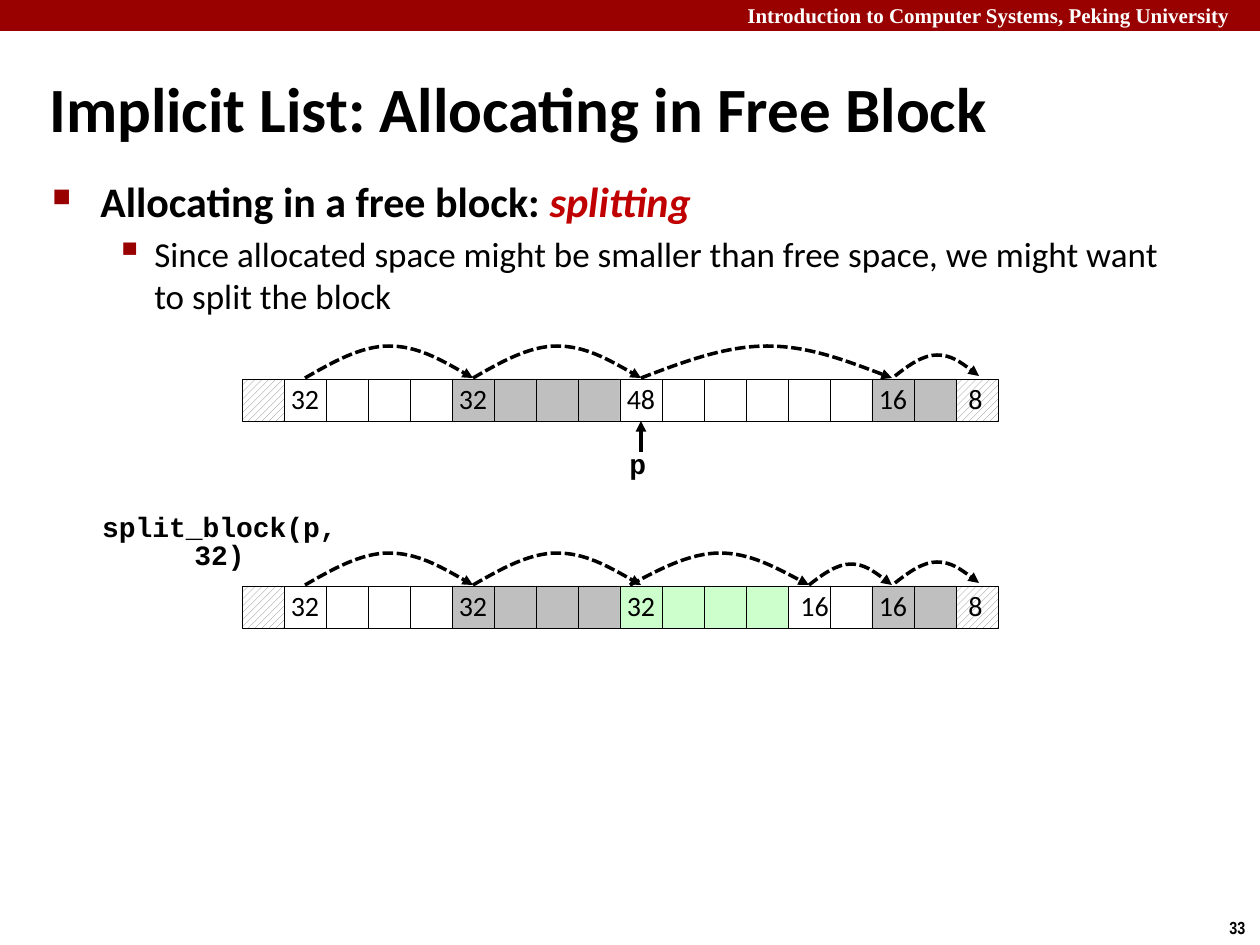
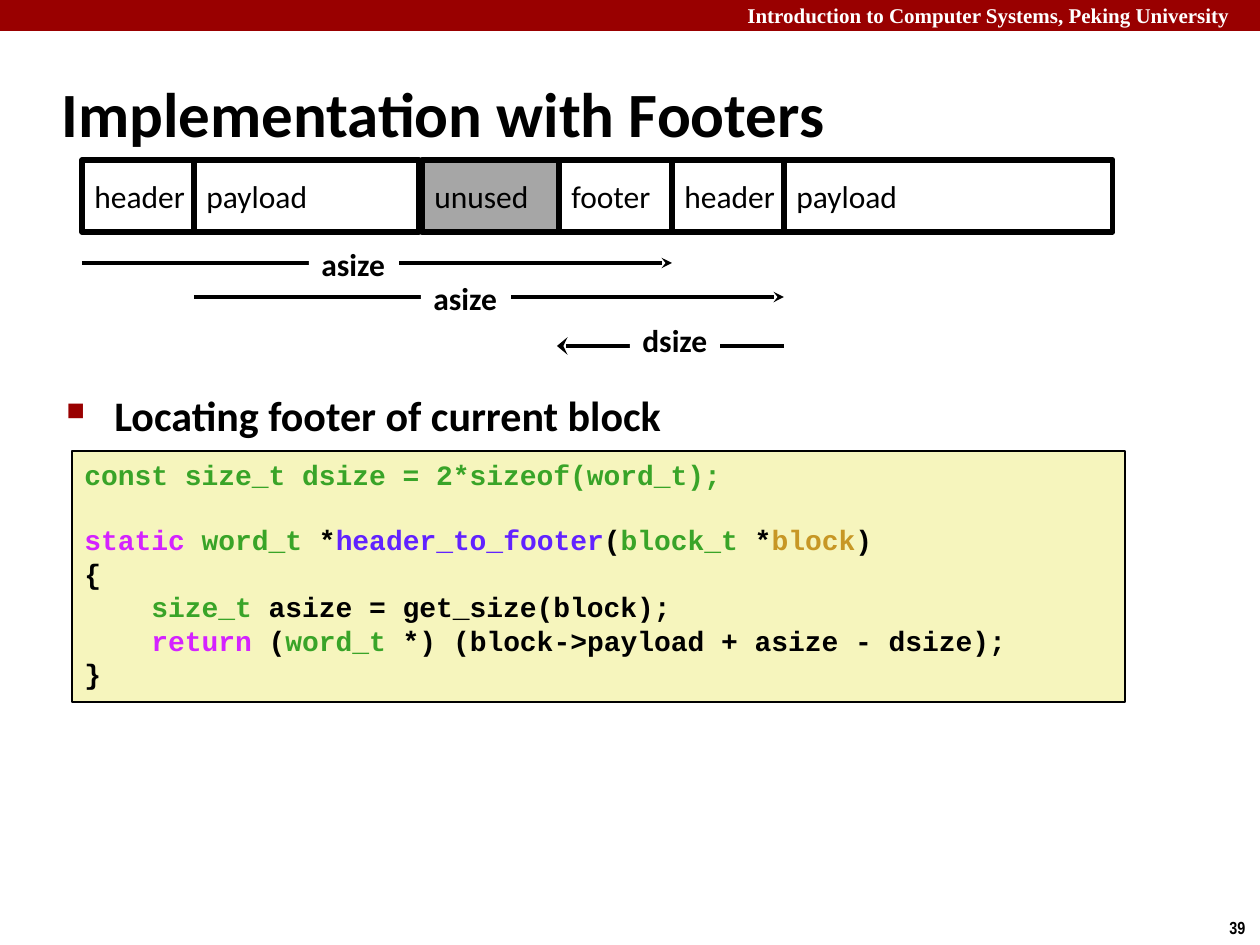
from dataclasses import dataclass

from lxml import etree
from pptx import Presentation
from pptx.dml.color import RGBColor
from pptx.enum.dml import MSO_LINE, MSO_PATTERN
from pptx.enum.shapes import MSO_CONNECTOR, MSO_SHAPE
from pptx.enum.text import MSO_ANCHOR, PP_ALIGN
from pptx.oxml.ns import qn
from pptx.util import Pt

RECTANGLE = MSO_SHAPE.RECTANGLE
STRAIGHT = MSO_CONNECTOR.STRAIGHT
DASHED = MSO_LINE.SQUARE_DOT
HATCHED = MSO_PATTERN.WIDE_UPWARD_DIAGONAL
TOP, MIDDLE = MSO_ANCHOR.TOP, MSO_ANCHOR.MIDDLE
LEFT, CENTER = PP_ALIGN.LEFT, PP_ALIGN.CENTER
PX = 914400 / 126


@dataclass(frozen=True)
class Theme:
    black: str = "000000"
    white: str = "FFFFFF"
    crimson: str = "990000"
    emphasis: str = "C00000"
    allocated: str = "BFBFBF"
    chosen: str = "CCFFCC"
    unused: str = "A6A6A6"
    hatch: str = "808080"
    code_back: str = "F6F5BD"
    code_type: str = "39A428"
    code_keyword: str = "D422FF"
    code_function: str = "6122FF"
    code_name: str = "C79725"
    body_font: str = "Calibri"
    code_font: str = "Courier New"
    band_font: str = "Times New Roman"
    number_font: str = "Arial Narrow"
    title_size: int = 36
    bullet_size: int = 24
    detail_size: int = 20
    label_size: int = 18
    code_size: int = 16
    band_size: int = 12
    number_size: int = 10


theme = Theme()


def add_box(page, left, top, width, height, fill=None, line=None, anchor=TOP, wrap=True):
    """Add a rectangle, or a plain text box when it has neither fill nor line."""
    place = [round(length * PX) for length in (left, top, width, height)]
    if fill is None and line is None:
        box = page.shapes.add_textbox(*place)
    else:
        box = page.shapes.add_shape(RECTANGLE, *place)
        box.shadow.inherit = False
        if fill == theme.hatch:
            box.fill.patterned()
            box.fill.pattern = HATCHED
            box.fill.fore_color.rgb = RGBColor.from_string(fill)
            box.fill.back_color.rgb = RGBColor.from_string(theme.white)
        elif fill:
            box.fill.solid()
            box.fill.fore_color.rgb = RGBColor.from_string(fill)
        else:
            box.fill.background()
        if line:
            box.line.width = Pt(line)
            box.line.color.rgb = RGBColor.from_string(theme.black)
        else:
            box.line.fill.background()
    box.text_frame.word_wrap = wrap
    box.text_frame.vertical_anchor = anchor
    return box


def add_text(box, spans, size, font=theme.body_font, bold=False, align=LEFT,
             bullet=None, indent=0, hanging=0, before=0, spacing=None):
    """Add one paragraph of (text, colour) spans; emphasised spans are italic."""
    frame = box.text_frame
    para = frame.paragraphs[0]
    if para.runs:
        para = frame.add_paragraph()
    para.alignment = align
    para.space_before = Pt(before)
    if spacing:
        para.line_spacing = spacing
    properties = para._p.get_or_add_pPr()
    properties.set("marL", str(round(indent * PX)))
    properties.set("indent", str(round(-hanging * PX)))
    if bullet:
        mark, percent = bullet
        colour = etree.SubElement(properties, qn("a:buClr"))
        etree.SubElement(colour, qn("a:srgbClr"), val=theme.crimson)
        etree.SubElement(properties, qn("a:buSzPct"), val=str(percent * 1000))
        etree.SubElement(properties, qn("a:buChar"), char=mark)
    for text, colour in spans:
        span = para.add_run()
        span.text = text
        span.font.name = font
        span.font.size = Pt(size)
        span.font.bold = bold
        span.font.italic = colour == theme.emphasis
        span.font.color.rgb = RGBColor.from_string(colour)


deck = Presentation()
deck.slide_width, deck.slide_height = round(1260 * PX), round(945 * PX)
arrows = []  # (line, head type, head width), styled together at the end

# Shared frame: band, title and page number
pages = []
for number, title, title_place in (
    ("33", "Implicit List: Allocating in Free Block", (37, 68, 1187, 79)),
    ("39", "Implementation with Footers", (49, 60, 1046, 105)),
):
    page = deck.slides.add_slide(deck.slide_layouts[6])
    add_box(page, 0, 0, 1260, 31, theme.crimson)
    add_text(add_box(page, 735, -4, 534, 38),
             [("Introduction to Computer Systems, Peking University", theme.white)],
             theme.band_size, theme.band_font, bold=True)
    add_text(add_box(page, 1217, 911, 43, 34, wrap=False), [(number, theme.black)],
             theme.number_size, theme.number_font, bold=True)
    add_text(add_box(page, *title_place, anchor=MIDDLE), [(title, theme.black)],
             theme.title_size, bold=True)
    pages.append(page)
split_page, footer_page = pages

# Splitting: bullets
square = ("■", 60)
body = add_box(split_page, 40, 169, 1145, 160)
add_text(body, [("Allocating in a free block: ", theme.black), ("splitting", theme.emphasis)],
         theme.bullet_size, bold=True, bullet=square, indent=48, hanging=48)
add_text(body, [("Since allocated space might be smaller than free space, "
                 "we might want to split the block", theme.black)],
         theme.detail_size, bullet=("▪", 110), indent=102, hanging=39, before=4)

# Splitting: heap before and after, as blocks of (cells, label, fill, alignment)
CELL, HEAP_LEFT = 42, 242
first_blocks = [(1, "", theme.hatch, CENTER), (4, "32", theme.white, CENTER),
                (4, "32", theme.allocated, CENTER)]
last_blocks = [(2, "16", theme.allocated, CENTER), (1, "8", theme.hatch, LEFT)]
free_block = [(6, "48", theme.white, CENTER)]
split_blocks = [(4, "32", theme.chosen, CENTER), (2, "16", theme.white, LEFT)]
first_arcs = [(305, 473), (473, 641)]
heaps = (
    (379, free_block, [(641, 892), (895, 979)]),
    (586, split_blocks, [(630, 809), (809, 892), (895, 979)]),
)
heads = {}
for heap_top, middle_blocks, last_arcs in heaps:
    left = HEAP_LEFT
    for cells, label, fill, align in first_blocks + middle_blocks + last_blocks:
        for index in range(cells):
            cell = add_box(split_page, left, heap_top, CELL, CELL, fill, 0.25, MIDDLE, False)
            if index == 0 and label:
                add_text(cell, [(label, theme.black)], theme.code_size, align=align, spacing=0.98)
                heads[label] = cell
            left += CELL

    for start, end in first_arcs + last_arcs:
        width = end - start
        rise = 32 if width > 2 * CELL else 21
        base = heap_top - (3 if start == 895 else 1)
        builder = split_page.shapes.build_freeform(start, base, scale=PX)
        builder.add_line_segments([(start + width / 2, base - rise), (end, base)], close=False)
        arc = builder.convert_to_shape()
        arc.fill.background()
        arc.shadow.inherit = False
        arc.line.dash_style = DASHED
        # Bend the two straight segments into a symmetric curve
        curves = (
            ((width / 6, rise / 2), (width / 3, 0), (width / 2, 0)),
            ((width * 2 / 3, 0), (width * 5 / 6, rise / 2), (width, rise)),
        )
        for segment, points in zip(list(arc._element.iter(qn("a:lnTo"))), curves):
            curve = etree.Element(qn("a:cubicBezTo"))
            for x, y in points:
                etree.SubElement(curve, qn("a:pt"), x=str(round(x)), y=str(round(y)))
            segment.getparent().replace(segment, curve)
        arrows.append((arc, "triangle", "med"))

# Splitting: pointer and call
pointer = split_page.shapes.add_connector(
    STRAIGHT, *[round(length * PX) for length in (641, 452, 641, 421)])
pointer.end_connect(heads["48"], 2)
arrows.append((pointer, "triangle", "med"))
add_text(add_box(split_page, 617, 442, 40, 47, wrap=False), [("p", theme.black)],
         theme.code_size, theme.code_font, bold=True, spacing=0.98)
add_text(add_box(split_page, 60, 508, 319, 43, wrap=False), [("split_block(p, 32)", theme.black)],
         theme.code_size, theme.code_font, bold=True, align=CENTER, spacing=0.85)

# Footers: block layout
for label, left, width in (
    ("header", 82, 112), ("payload", 194, 225), ("header", 672, 112),
    ("payload", 784, 329), ("unused", 422, 137), ("footer", 559, 113),
):
    fill = theme.unused if label == "unused" else None
    field = add_box(footer_page, left, 160, width, 72, fill, 3, MIDDLE, False)
    add_text(field, [(label, theme.black)], theme.label_size)

# Footers: size arrows with their labels
for label, start, end, y, label_left, label_top, head_width in (
    ("asize", 194, 784, 297, 421, 273, "med"),
    ("dsize", 784, 557, 346, 630, 315, "lg"),
    ("asize", 82, 672, 263, 309, 239, "med"),
):
    span_arrow = footer_page.shapes.add_connector(
        STRAIGHT, *[round(length * PX) for length in (start, y, end, y)])
    arrows.append((span_arrow, "stealth", head_width))
    tag = add_box(footer_page, label_left, label_top, 90, 50, theme.white, wrap=False)
    add_text(tag, [(label, theme.black)], theme.label_size, bold=True)

# Footers: bullet and code
add_text(add_box(footer_page, 54, 383, 1089, 64),
         [("Locating footer of current block", theme.black)],
         theme.bullet_size, bold=True, bullet=square, indent=48, hanging=48)

listing = add_box(footer_page, 72, 451, 1053, 251, theme.code_back, 1)
black, kind, keyword = theme.black, theme.code_type, theme.code_keyword
for indent, before, spans in (
    (0, 0, [("const size_t dsize = 2*sizeof(word_t);", kind)]),
    (0, 18.1, [("static ", keyword), ("word_t", kind), (" *", black),
               ("header_to_footer", theme.code_function), ("(", black), ("block_t", kind),
               (" *", black), ("block", theme.code_name), (")", black)]),
    (0, 0, [("{", black)]),
    (67, 0, [("size_t ", kind), ("asize = get_size(block);", black)]),
    (67, 0, [("return", keyword), (" (", black), ("word_t", kind),
             (" *) (block->payload + asize - dsize);", black)]),
    (0, 0, [("}", black)]),
):
    add_text(listing, spans, theme.code_size, theme.code_font, bold=True,
             indent=indent, before=before)

# Arrow style
for arrow, head, head_width in arrows:
    arrow.line.width = Pt(2)
    arrow.line.color.rgb = RGBColor.from_string(theme.black)
    etree.SubElement(arrow.line._get_or_add_ln(), qn("a:tailEnd"), type=head, w=head_width)
    properties = arrow._element.spPr
    if properties.find(qn("a:effectLst")) is None:
        etree.SubElement(properties, qn("a:effectLst"))

deck.save("out.pptx")
